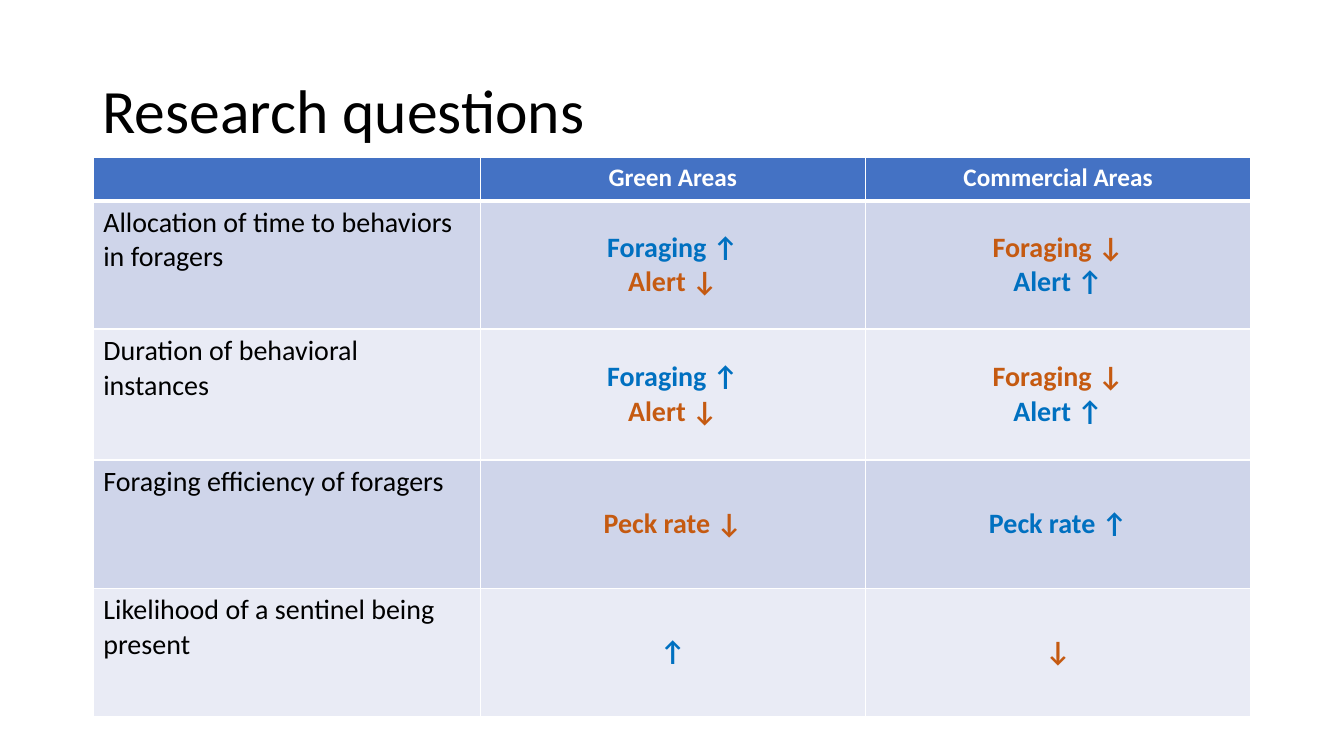
from lxml import etree
from pptx import Presentation
from pptx.dml.color import RGBColor
from pptx.enum.text import MSO_ANCHOR as Anchor, PP_ALIGN as Align
from pptx.oxml.ns import qn
from pptx.util import Cm, Pt

FONT = "Calibri"
COLORS = {
    "header": "4472C4",
    "odd_row": "CFD5EA",
    "even_row": "E9EBF5",
    "text": "000000",
    "white": "FFFFFF",
    "↑": "0070C0",
    "↓": "C55A11",
}
AREAS = ["", "Green Areas", "Commercial Areas"]
QUESTIONS = [
    ("Allocation of time to behaviors in foragers",
     ["Foraging ↑", "Alert ↓"], ["Foraging ↓", "Alert ↑"]),
    ("Duration of behavioral instances",
     ["Foraging ↑", "Alert ↓"], ["Foraging ↓", "Alert ↑"]),
    ("Foraging efficiency of foragers", ["Peck rate ↓"], ["Peck rate ↑"]),
    ("Likelihood of a sentinel being present", ["↑"], ["↓"]),
]
COLUMN_WIDTHS = [9.75, 9.71, 9.71]
ROW_HEIGHTS = [1.09, 3.23, 3.3, 3.23, 3.23]


def color(name):
    return RGBColor.from_string(COLORS[name])


def style(paragraph, size, color_name, bold=False, align=Align.LEFT):
    paragraph.alignment = align
    font = paragraph.font
    font.name, font.size, font.bold = FONT, Pt(size), bold
    font.color.rgb = color(color_name)


def add_borders(cell, bottom_width):
    """Draw white cell borders; call before the fill is set, as the schema orders them."""
    properties = cell._tc.get_or_add_tcPr()
    for side, width in (("L", 1), ("R", 1), ("T", 1), ("B", bottom_width)):
        line = etree.SubElement(properties, qn(f"a:ln{side}"), w=str(Pt(width)))
        fill = etree.SubElement(line, qn("a:solidFill"))
        etree.SubElement(fill, qn("a:srgbClr"), val=COLORS["white"])


def paint_cell(cell, fill_name, bottom_width=1):
    add_borders(cell, bottom_width)
    cell.fill.solid()
    cell.fill.fore_color.rgb = color(fill_name)


def fill_prediction(cell, predictions):
    """Write one line per prediction, coloured by its arrow."""
    cell.vertical_anchor = Anchor.MIDDLE
    cell.text = "\n".join(predictions)
    for paragraph, prediction in zip(cell.text_frame.paragraphs, predictions):
        style(paragraph, 20, prediction[-1], True, Align.CENTER)


def place_title(slide, left, top, width, height):
    title = slide.shapes.title
    title.left, title.top, title.width, title.height = left, top, width, height
    title.text = "Research questions"
    title.text_frame.vertical_anchor = Anchor.MIDDLE
    heading = title.text_frame.paragraphs[0]
    heading.line_spacing = 0.9
    style(heading, 44, "text")


def add_question_table(slide, left, top):
    table = slide.shapes.add_table(
        len(ROW_HEIGHTS), len(COLUMN_WIDTHS), left, top,
        Cm(sum(COLUMN_WIDTHS)), Cm(sum(ROW_HEIGHTS))).table
    for column, width in zip(table.columns, COLUMN_WIDTHS):
        column.width = Cm(width)
    for row, height in zip(table.rows, ROW_HEIGHTS):
        row.height = Cm(height)

    for cell, area in zip(table.rows[0].cells, AREAS):
        paint_cell(cell, "header", bottom_width=3)
        cell.text = area
        style(cell.text_frame.paragraphs[0], 18, "white", True, Align.CENTER)

    for number, (question, *predictions) in enumerate(QUESTIONS, start=1):
        question_cell, *prediction_cells = table.rows[number].cells
        for cell in table.rows[number].cells:
            paint_cell(cell, "odd_row" if number % 2 else "even_row")
        question_cell.text = question
        style(question_cell.text_frame.paragraphs[0], 20, "text")
        for cell, lines in zip(prediction_cells, predictions):
            fill_prediction(cell, lines)


def main():
    deck = Presentation()
    deck.slide_width, deck.slide_height = Cm(33.87), Cm(19.05)
    slide = deck.slides.add_slide(deck.slide_layouts[5])
    place_title(slide, Cm(2.33), Cm(1.01), Cm(29.21), Cm(3.68))
    add_question_table(slide, Cm(2.35), Cm(3.97))
    deck.save("out.pptx")


if __name__ == "__main__":
    main()
